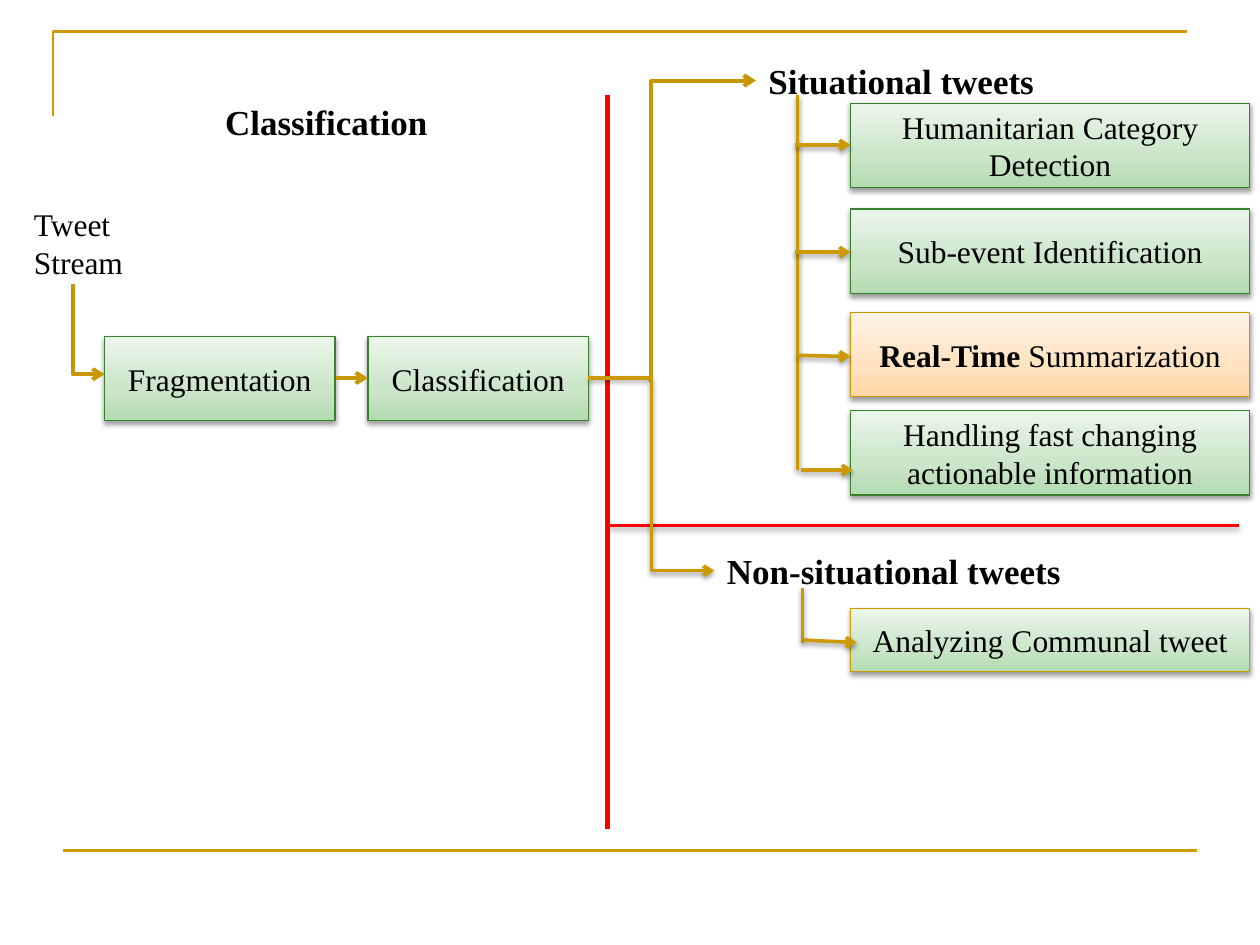
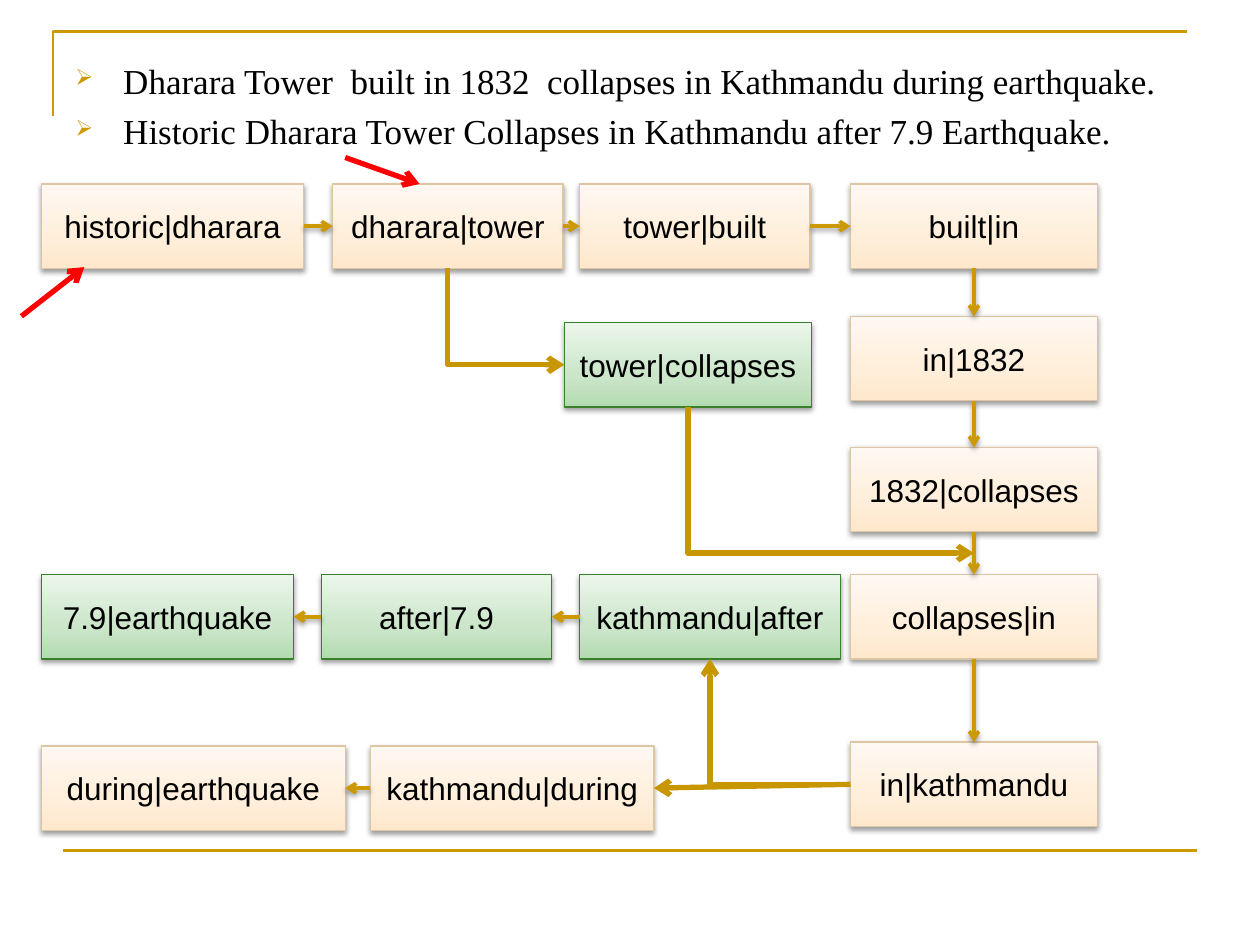
from copy import deepcopy

from lxml.etree import SubElement
from pptx import Presentation
from pptx.dml.color import RGBColor
from pptx.enum.shapes import MSO_CONNECTOR as LINK, MSO_SHAPE as SHAPE
from pptx.enum.text import MSO_ANCHOR as ANCHOR, PP_ALIGN as ALIGN
from pptx.oxml.ns import qn
from pptx.util import Inches, Pt

# Shared look
SERIF, SANS = "Times New Roman", "Arial"
GOLD, AMBER, RED, WHITE, BLACK = "CC9900", "C89600", "FF0000", "FFFFFF", "000000"
GREEN_STOPS = ("B3DBB0", "CAE5C8", "EBF6EA")
STYLES = {  # gradient from bottom to top, outline
    "green": (GREEN_STOPS, "38802C"),
    "gold edge": (GREEN_STOPS, GOLD),
    "orange": (("FFD6A5", "FFE2BF", "FFF3E7"), AMBER),
    "peach": (("FFE8CC", "FFEEDA", "FFF8F1"), "DEC6A5"),
}
STOP_POSITIONS = (0, 0.35, 1)
BOX_HEIGHT = 0.67

# Slide 1: the classification pipeline
STEPS = [("Fragmentation", 0.83, 1.83), ("Classification", 2.92, 1.75)]
STEP_TOP = 2.67
LABELS = [  # lines, left, top, width, height, size, bold, align, wrap
    (["Tweet", "Stream"], 0.17, 1.58, 0.92, 0.71, 18, False, ALIGN.LEFT, False),
    (["Classification"], 1.68, 0.75, 1.82, 0.44, 20, True, ALIGN.CENTER, False),
    (["Situational tweets"], 6, 0.42, 2.33, 0.44, 20, True, ALIGN.LEFT, True),
]
TASK_LEFT, TASK_WIDTH = 6.75, 3.17
TASKS = [  # runs (text, bold), top, height, style
    ([("Humanitarian Category Detection", False)], 0.82, BOX_HEIGHT, "green"),
    ([("Sub-event Identification", False)], 1.66, BOX_HEIGHT, "green"),
    ([("Real-Time", True), (" Summarization", False)], 2.48, BOX_HEIGHT, "orange"),
    ([("Handling fast changing actionable information", False)], 3.26, BOX_HEIGHT, "green"),
    ([("Analyzing Communal tweet", False)], 4.83, 0.5, "gold edge"),
]
BRANCHES = [  # arrows from the two trunks to the tasks
    ((6.31, 1.15), (6.75, 1.15)),
    ((6.31, 2), (6.75, 2)),
    ((6.33, 2.82), (6.75, 2.83)),
    ((6.36, 3.73), (6.77, 3.73)),
    ((6.38, 5.08), (6.8, 5.1)),
]
TRUNKS = [((6.33, 0.75), (6.33, 3.73)), ((6.37, 4.67), (6.37, 5.1))]

# Slide 2: the word graph
TWEETS = [
    "Dharara Tower  built in 1832  collapses in Kathmandu during earthquake.",
    "Historic Dharara Tower Collapses in Kathmandu after 7.9 Earthquake.",
]
WORD_PAIRS = {  # left, top, width, style
    "historic|dharara": (0.33, 1.46, 2.08, "peach"),
    "dharara|tower": (2.64, 1.46, 1.83, "peach"),
    "tower|built": (4.6, 1.46, 1.83, "peach"),
    "built|in": (6.75, 1.46, 1.96, "peach"),
    "in|1832": (6.75, 2.51, 1.96, "peach"),
    "1832|collapses": (6.75, 3.55, 1.96, "peach"),
    "collapses|in": (6.75, 4.56, 1.96, "peach"),
    "in|kathmandu": (6.75, 5.89, 1.96, "peach"),
    "kathmandu|during": (2.94, 5.92, 2.25, "peach"),
    "during|earthquake": (0.33, 5.92, 2.41, "peach"),
    "tower|collapses": (4.48, 2.56, 1.96, "green"),
    "kathmandu|after": (4.6, 4.56, 2.07, "green"),
    "after|7.9": (2.55, 4.56, 1.83, "green"),
    "7.9|earthquake": (0.33, 4.56, 2, "green"),
}
CHAINS = [
    ["historic|dharara", "dharara|tower", "tower|built", "built|in", "in|1832",
     "1832|collapses", "collapses|in", "in|kathmandu"],
    ["kathmandu|during", "during|earthquake"],
    ["kathmandu|after", "after|7.9", "7.9|earthquake"],
]
START_POINTERS = [((0.17, 2.51), (0.67, 2.12)), ((2.74, 1.25), (3.33, 1.46))]


def rgb(value):
    return RGBColor.from_string(value)


def set_effects(item, shadow):
    """Replace the theme's shadow with a soft one, or with none."""
    effects = SubElement(item._element.spPr, qn("a:effectLst"))
    if shadow:
        outer = SubElement(effects, qn("a:outerShdw"), blurRad=str(Pt(3.1)),
                           dist=str(Pt(1.6)), dir="5400000", rotWithShape="0")
        color = SubElement(outer, qn("a:srgbClr"), val=BLACK)
        SubElement(color, qn("a:alpha"), val="38000")


def set_line(item, color, width):
    item.line.color.rgb = rgb(color)
    item.line.width = Pt(width)


def add_span(para, text, size, font, bold=False):
    span = para.add_run()
    span.text = text
    span.font.size, span.font.name, span.font.bold = Pt(size), font, bold
    span.font.color.rgb = rgb(BLACK)


def add_rect(page, left, top, width, height):
    return page.shapes.add_shape(SHAPE.RECTANGLE, *map(Inches, (left, top, width, height)))


def add_box(page, runs, left, top, width, height, style, font):
    stops, outline = STYLES[style]
    box = add_rect(page, left, top, width, height)
    box.fill.gradient()
    box.fill.gradient_angle = 90
    stop_list = box._element.spPr.find(".//" + qn("a:gsLst"))
    stop_list.insert(1, deepcopy(stop_list[0]))
    for stop, position, color in zip(box.fill.gradient_stops, STOP_POSITIONS, stops):
        stop.position = position
        stop.color.rgb = rgb(color)
    set_line(box, outline, 0.75)
    set_effects(box, True)
    box.text_frame.word_wrap = True
    box.text_frame.vertical_anchor = ANCHOR.MIDDLE
    para = box.text_frame.paragraphs[0]
    para.alignment = ALIGN.CENTER
    for text, bold in runs:
        add_span(para, text, 18, font, bold)


def write_lines(box, lines, size, bold, align, wrap):
    frame = box.text_frame
    frame.word_wrap = wrap
    frame.vertical_anchor = ANCHOR.TOP
    for number, text in enumerate(lines):
        para = frame.add_paragraph() if number else frame.paragraphs[0]
        para.alignment = align
        add_span(para, text, size, SERIF, bold)


def add_line(page, start, end, color=GOLD, width=2, arrow=True, shadow=True,
             kind=LINK.STRAIGHT):
    line = page.shapes.add_connector(kind, *map(Inches, (*start, *end)))
    set_line(line, color, width)
    if arrow:
        SubElement(line._element.spPr.find(qn("a:ln")), qn("a:tailEnd"), type="arrow")
    set_effects(line, shadow)
    return line


def add_corner(page, start, end, width, vertical_first=True):
    """One-bend arrow; a vertical start is a quarter turn about the centre."""
    (x1, y1), (x2, y2) = start, end
    turn = 0
    if vertical_first:
        down = 1 if y2 > y1 else -1
        turn = 270 if down > 0 else 90
        mid_x, mid_y = (x1 + x2) / 2, (y1 + y2) / 2
        shift_x, shift_y = down * (mid_y - y1), down * (x1 - mid_x)
        start = (mid_x + shift_x, mid_y + shift_y)
        end = (mid_x - shift_x, mid_y - shift_y)
    line = add_line(page, start, end, AMBER, width, shadow=False, kind=LINK.ELBOW)
    props = line._element.spPr
    props.find(qn("a:prstGeom")).set("prst", "bentConnector2")
    if turn:
        props.find(qn("a:xfrm")).set("rot", str(turn * 60000))


def add_page(deck):
    """Blank page with the gold corner and the bottom rule."""
    page = deck.slides.add_slide(deck.slide_layouts[6])
    outline = page.shapes.build_freeform(Inches(0.42), Inches(0.92), scale=1.0)
    outline.add_line_segments([(Inches(0.42), Inches(0.25)), (Inches(9.42), Inches(0.25))],
                              close=False)
    corner = outline.convert_to_shape()
    corner.fill.background()
    set_line(corner, GOLD, 1.5)
    set_effects(corner, False)
    add_line(page, (0.5, 6.75), (9.5, 6.75), width=1.5, arrow=False, shadow=False)
    return page


def build_pipeline(deck):
    page = add_page(deck)
    # Dividers
    add_line(page, (4.82, 0.75), (4.82, 6.58), RED, 3, arrow=False, shadow=False)
    add_line(page, (4.83, 4.17), (9.83, 4.17), RED, 2, arrow=False)
    # Boxes and labels
    for text, left, width in STEPS:
        add_box(page, [(text, False)], left, STEP_TOP, width, BOX_HEIGHT, "green", SERIF)
    for runs, top, height, style in TASKS:
        add_box(page, runs, TASK_LEFT, top, TASK_WIDTH, height, style, SERIF)
    for lines, left, top, width, height, *look in LABELS:
        label = page.shapes.add_textbox(*map(Inches, (left, top, width, height)))
        write_lines(label, lines, *look)
    heading = add_rect(page, 5.67, 4.31, 3.5, 0.44)
    heading.fill.solid()
    heading.fill.fore_color.rgb = rgb(WHITE)
    set_line(heading, WHITE, 2)
    set_effects(heading, False)
    write_lines(heading, ["Non-situational tweets"], 20, True, ALIGN.LEFT, True)
    # Flow
    add_corner(page, (0.58, 2.25), (0.83, 2.97), 2.25)
    add_line(page, (2.67, 3), (2.92, 3), AMBER, 2.25, shadow=False)
    add_corner(page, (5.17, 3.03), (6, 0.64), 2.25)
    add_line(page, (4.67, 3), (5.67, 4.53), kind=LINK.ELBOW)
    for start, end in TRUNKS:
        add_line(page, start, end, arrow=False)
    for start, end in BRANCHES:
        add_line(page, start, end)


def edge(pair, side):
    left, top, width, _ = WORD_PAIRS[pair]
    across, down = {"left": (0, 0.5), "right": (1, 0.5),
                    "top": (0.5, 0), "bottom": (0.5, 1)}[side]
    return left + across * width, top + down * BOX_HEIGHT


def add_link(page, source, target, **look):
    """Straight arrow between the facing edges of two boxes."""
    (x1, y1, *_), (x2, y2, *_) = WORD_PAIRS[source], WORD_PAIRS[target]
    if abs(y2 - y1) < 0.1:
        sides = ("right", "left") if x2 > x1 else ("left", "right")
    else:
        sides = ("bottom", "top")
    add_line(page, edge(source, sides[0]), edge(target, sides[1]), **look)


def add_tweets(page):
    box = page.shapes.add_textbox(*map(Inches, (0.5, 0.42, 9, 0.92)))
    frame = box.text_frame
    frame.word_wrap = True
    for number, tweet in enumerate(TWEETS):
        para = frame.add_paragraph() if number else frame.paragraphs[0]
        props = para._p.get_or_add_pPr()
        props.set("marL", str(Inches(0.38)))
        props.set("indent", str(-Inches(0.38)))
        SubElement(SubElement(props, qn("a:buClr")), qn("a:srgbClr"), val=GOLD)
        SubElement(props, qn("a:buSzPct"), val="65000")
        SubElement(props, qn("a:buChar"), char="➢")
        if number:
            para.space_before = Pt(5)
        add_span(para, tweet, 20, SERIF)


def build_word_graph(deck):
    page = add_page(deck)
    add_tweets(page)
    # Word pairs
    for pair, (left, top, width, style) in WORD_PAIRS.items():
        add_box(page, [(pair, False)], left, top, width, BOX_HEIGHT, style, SANS)
    # Links along each chain
    for chain in CHAINS:
        for source, target in zip(chain, chain[1:]):
            add_link(page, source, target)
    # Links between the chains
    add_corner(page, edge("dharara|tower", "bottom"), edge("tower|collapses", "left"), 3)
    add_corner(page, edge("in|kathmandu", "left"), edge("kathmandu|after", "bottom"), 3,
               vertical_first=False)
    add_link(page, "in|kathmandu", "kathmandu|during", color=AMBER, width=3, shadow=False)
    add_corner(page, edge("tower|collapses", "bottom"), (7.73, 4.39), 3)
    # Where each tweet starts
    for start, end in START_POINTERS:
        add_line(page, start, end, RED, 3, shadow=False)


def main():
    deck = Presentation()
    deck.slide_width, deck.slide_height = Inches(10), Inches(7.5)
    build_pipeline(deck)
    build_word_graph(deck)
    deck.save("out.pptx")


if __name__ == "__main__":
    main()
